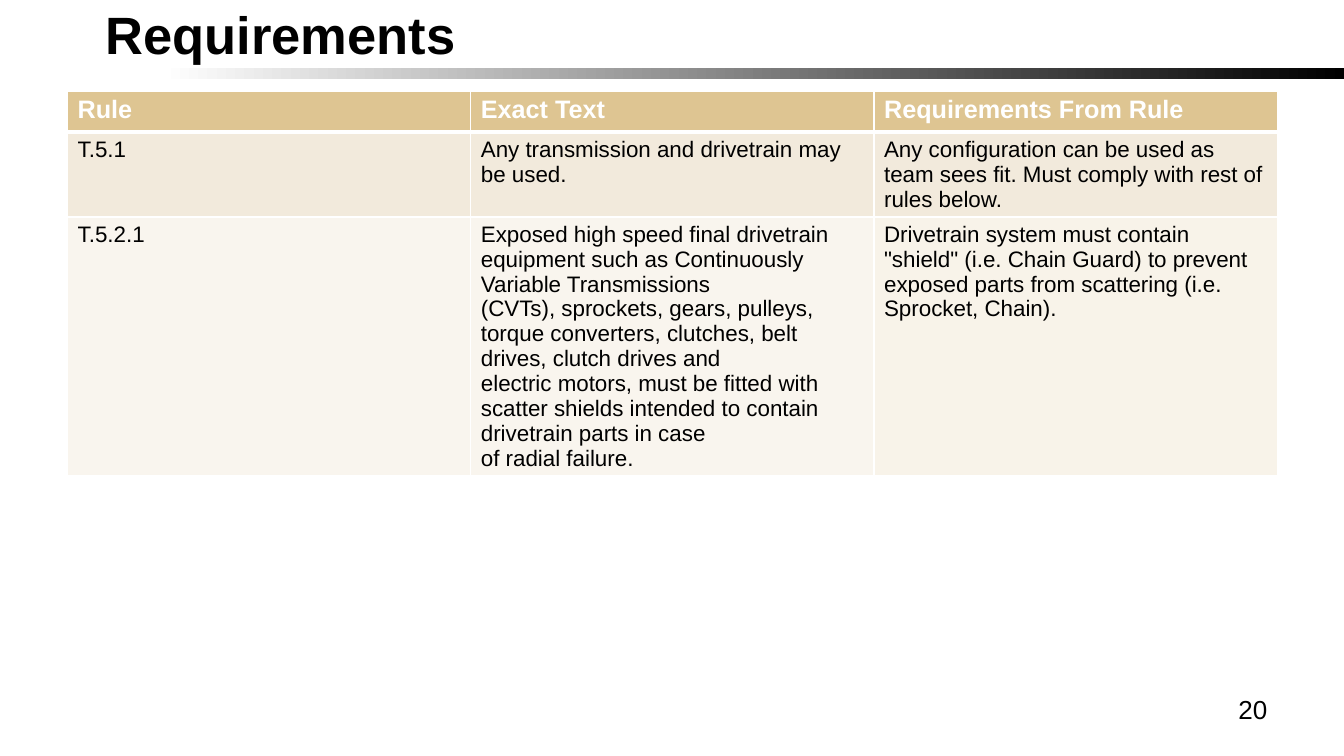
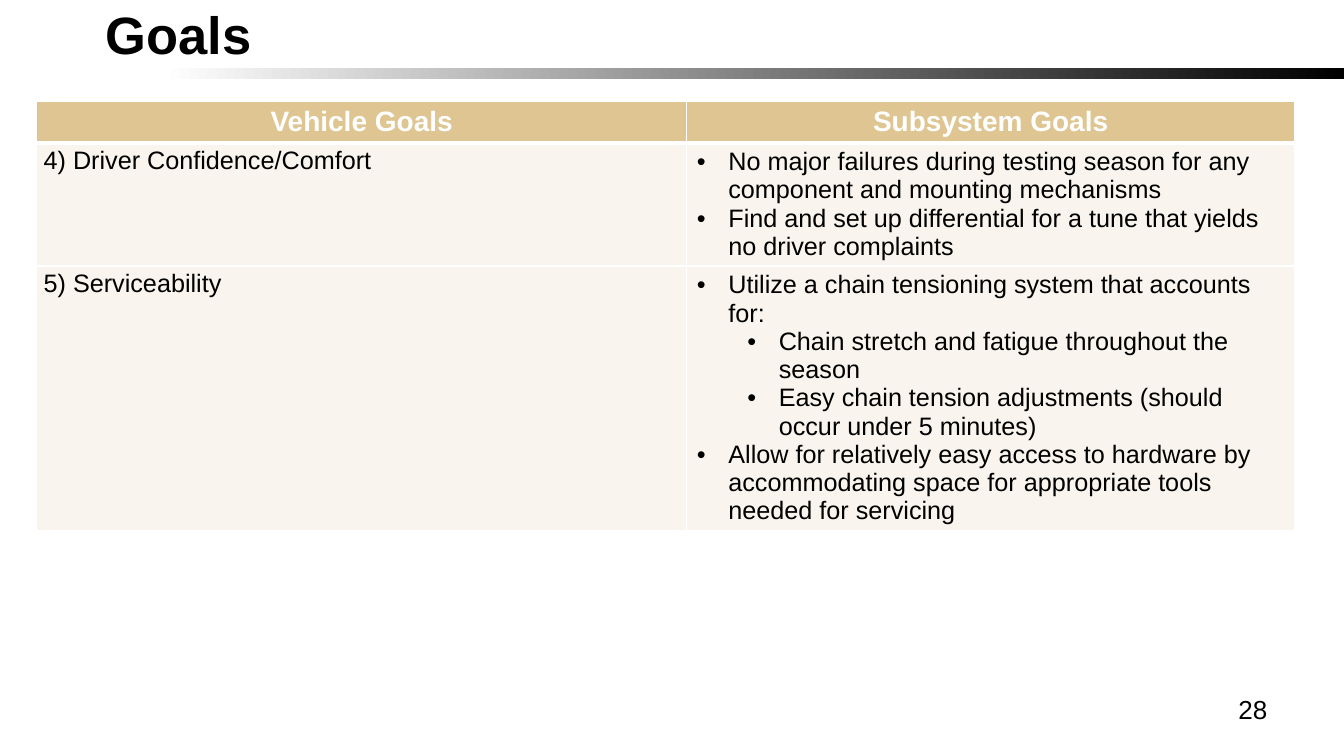
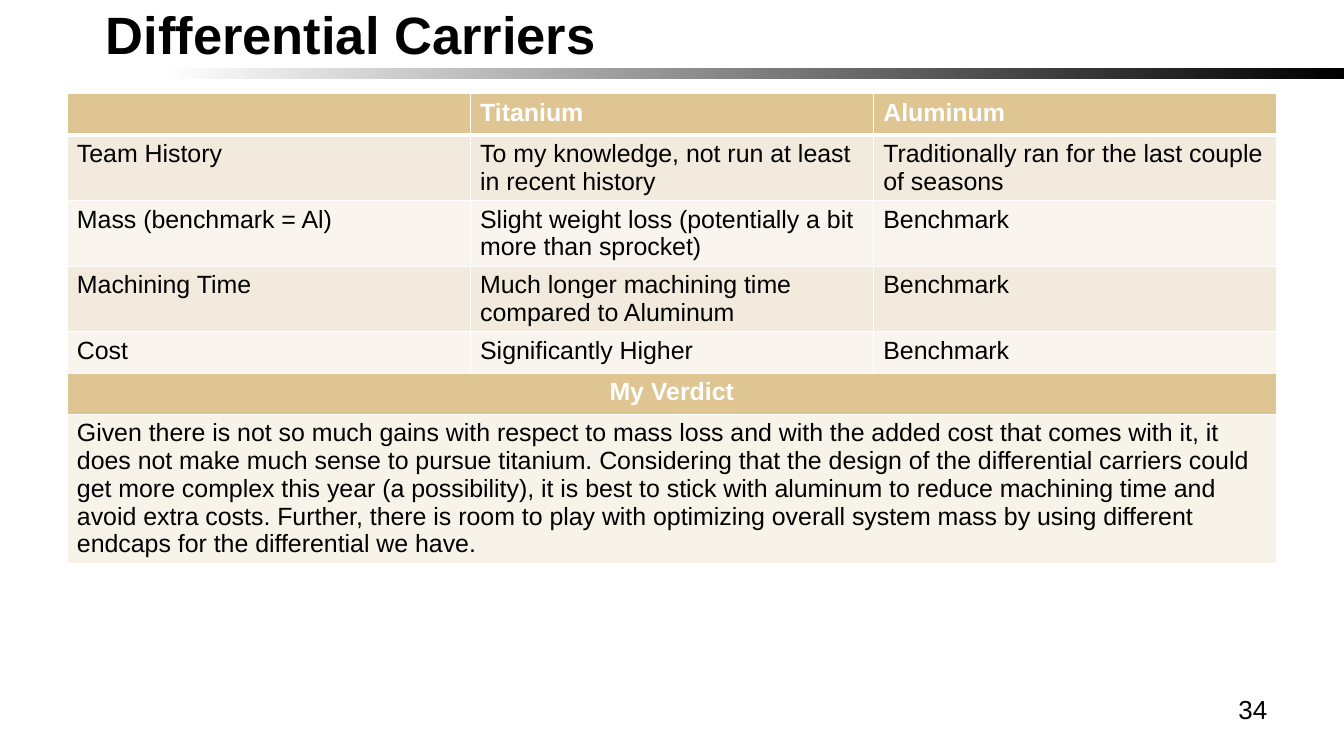
from dataclasses import dataclass

import lxml.etree
import pptx
import pptx.dml.color
import pptx.enum.shapes
import pptx.enum.text
import pptx.oxml.ns
import pptx.presentation
import pptx.slide
import pptx.table
import pptx.text.text
import pptx.util

Pt = pptx.util.Pt
Align = pptx.enum.text.PP_ALIGN
qn = pptx.oxml.ns.qn


@dataclass(frozen=True)
class Theme:
    font: str = "Arial"
    black: str = "000000"
    white: str = "FFFFFF"
    gold: str = "DEC592"
    sand: str = "F2EADC"
    cream: str = "F9F5EE"
    ivory: str = "F8F3E9"
    title_size: float = 37.5
    number_size: float = 18.6
    thin: float = 1
    thick: float = 3


THEME = Theme()


@dataclass(frozen=True)
class Line:
    text: str
    level: int | None = None


@dataclass(frozen=True)
class Row:
    height: float
    fill: str
    cells: tuple[str | tuple[Line, ...], ...]
    heading: bool = False
    last_fill: str | None = None


@dataclass(frozen=True)
class Grid:
    left: float
    top: float
    columns: tuple[float, ...]
    rows: tuple[Row, ...]
    heading_size: float
    body_size: float
    centred: bool = False
    tight_first_column: bool = False


@dataclass(frozen=True)
class Page:
    title: str
    number: str
    grid: Grid


PAGES = (
    Page("Requirements", "20", Grid(
        48.3, 65, (288, 288, 288),
        (
            Row(29.5, THEME.gold, ("Rule", "Exact Text", "Requirements From Rule"), heading=True),
            Row(60, THEME.sand, (
                "T.5.1",
                "Any transmission and drivetrain may be used.",
                "Any configuration can be used as team sees fit. Must comply with rest of rules below.",
            )),
            Row(185, THEME.cream, (
                "T.5.2.1",
                (
                    Line("Exposed high speed final drivetrain equipment such as Continuously Variable Transmissions "),
                    Line("(CVTs), sprockets, gears, pulleys, torque converters, clutches, belt drives, clutch drives and "),
                    Line("electric motors, must be fitted with scatter shields intended to contain drivetrain parts in case "),
                    Line("of radial failure."),
                ),
                'Drivetrain system must contain "shield" (i.e. Chain Guard) to prevent exposed parts '
                "from scattering (i.e. Sprocket, Chain).",
            ), last_fill=THEME.ivory),
        ),
        heading_size=18, body_size=16,
    )),
    Page("Goals", "28", Grid(
        26.2, 72.5, (464.4, 434.2),
        (
            Row(28.8, THEME.gold, ("Vehicle Goals", "Subsystem Goals"), heading=True),
            Row(88, THEME.cream, (
                "4) Driver Confidence/Comfort",
                (
                    Line("No major failures during testing season for any component and mounting mechanisms", 0),
                    Line("Find and set up differential for a tune that yields no driver complaints", 0),
                ),
            )),
            Row(188, THEME.cream, (
                "5) Serviceability",
                (
                    Line("Utilize a chain tensioning system that accounts for:", 0),
                    Line("Chain stretch and fatigue throughout the season", 1),
                    Line("Easy chain tension adjustments (should occur under 5 minutes)", 1),
                    Line("Allow for relatively easy access to hardware by accommodating space "
                         "for appropriate tools needed for servicing", 0),
                ),
            )),
        ),
        heading_size=20, body_size=18, centred=True, tight_first_column=True,
    )),
    Page("Differential Carriers", "34", Grid(
        47.8, 67, (288, 288, 288),
        (
            Row(29.5, THEME.gold, ("", "Titanium", "Aluminum"), heading=True),
            Row(46.8, THEME.sand, (
                "Team History",
                "To my knowledge, not run at least in recent history",
                "Traditionally ran for the last couple of seasons",
            )),
            Row(46.8, THEME.cream, (
                "Mass (benchmark = Al)",
                "Slight weight loss (potentially a bit more than sprocket)",
                "Benchmark",
            )),
            Row(46.8, THEME.sand, (
                "Machining Time",
                "Much longer machining time compared to Aluminum",
                "Benchmark",
            )),
            Row(29.5, THEME.cream, ("Cost", "Significantly Higher", "Benchmark")),
            Row(29.5, THEME.gold, ("My Verdict",), heading=True),
            Row(106, THEME.ivory, (
                "Given there is not so much gains with respect to mass loss and with the added cost "
                "that comes with it, it does not make much sense to pursue titanium. Considering that "
                "the design of the differential carriers could get more complex this year (a possibility), "
                "it is best to stick with aluminum to reduce machining time and avoid extra costs. "
                "Further, there is room to play with optimizing overall system mass by using different "
                "endcaps for the differential we have.",
            )),
        ),
        heading_size=17.8, body_size=17.8,
    )),
)


def rgb(color: str) -> pptx.dml.color.RGBColor:
    return pptx.dml.color.RGBColor.from_string(color)


def write(paragraph: pptx.text.text._Paragraph, text: str, *, size: float,
          color: str = THEME.black, bold: bool = False, align: Align = Align.LEFT) -> None:
    paragraph.alignment = align
    run = paragraph.add_run()
    run.text = text
    run.font.name = THEME.font
    run.font.size = Pt(size)
    run.font.bold = bold
    run.font.color.rgb = rgb(color)


def add_bullet(paragraph: pptx.text.text._Paragraph, level: int) -> None:
    paragraph.level = level
    properties = paragraph._p.get_or_add_pPr()
    properties.set("marL", str(Pt(22.5 + 36 * level)))
    properties.set("indent", str(Pt(-22.5)))
    lxml.etree.SubElement(properties, qn("a:buFont"), typeface=THEME.font)
    lxml.etree.SubElement(properties, qn("a:buChar"), char="•")


def add_borders(cell: pptx.table._Cell, top: float, bottom: float) -> None:
    properties = cell._tc.get_or_add_tcPr()
    widths = {"a:lnL": THEME.thin, "a:lnR": THEME.thin, "a:lnT": top, "a:lnB": bottom}
    for position, (side, width) in enumerate(widths.items()):
        border = lxml.etree.Element(qn(side), w=str(Pt(width)))
        paint = lxml.etree.SubElement(border, qn("a:solidFill"))
        lxml.etree.SubElement(paint, qn("a:srgbClr"), val=THEME.white)
        properties.insert(position, border)


def fill_cell(cell: pptx.table._Cell, content: str | tuple[Line, ...], row: Row, grid: Grid,
              centred: bool) -> None:
    lines = (Line(content),) if isinstance(content, str) else content
    for index, line in enumerate(lines):
        frame = cell.text_frame
        paragraph = frame.add_paragraph() if index else frame.paragraphs[0]
        if line.level is not None:
            add_bullet(paragraph, line.level)
        if line.text:
            write(paragraph, line.text,
                  size=grid.heading_size if row.heading else grid.body_size,
                  color=THEME.white if row.heading else THEME.black,
                  bold=row.heading,
                  align=Align.CENTER if centred else Align.LEFT)


def draw_grid(slide: pptx.slide.Slide, grid: Grid) -> None:
    table = slide.shapes.add_table(
        len(grid.rows), len(grid.columns), Pt(grid.left), Pt(grid.top),
        Pt(sum(grid.columns)), Pt(sum(row.height for row in grid.rows))).table
    table.horz_banding = False
    for column, width in zip(table.columns, grid.columns):
        column.width = Pt(width)
    last_column = len(grid.columns) - 1
    for r, row in enumerate(grid.rows):
        table.rows[r].height = Pt(row.height)
        spanning = len(row.cells) == 1
        if spanning:
            table.cell(r, 0).merge(table.cell(r, last_column))
        for c in range(len(grid.columns)):
            cell = table.cell(r, c)
            cell.fill.solid()
            cell.fill.fore_color.rgb = rgb(row.last_fill if row.last_fill and c == last_column else row.fill)
            add_borders(cell, top=THEME.thick if r == 1 else THEME.thin,
                        bottom=THEME.thick if r == 0 else THEME.thin)
            if c >= len(row.cells):
                continue
            if row.heading and grid.centred:
                cell.vertical_anchor = pptx.enum.text.MSO_ANCHOR.MIDDLE
            if grid.tight_first_column and c == 0 and not row.heading:
                cell.margin_left = cell.margin_right = Pt(5)
                cell.margin_top = cell.margin_bottom = Pt(2.9)
            fill_cell(cell, row.cells[c], row, grid, centred=row.heading and (grid.centred or spanning))


def style_title(layout: pptx.slide.SlideLayout) -> None:
    title = layout.placeholders[0]
    title.left, title.top, title.width, title.height = Pt(48), Pt(15.8), Pt(624), Pt(31)
    frame = title.text_frame
    frame.auto_size = pptx.enum.text.MSO_AUTO_SIZE.NONE
    frame.vertical_anchor = pptx.enum.text.MSO_ANCHOR.BOTTOM
    frame.margin_left, frame.margin_top = Pt(27.4), Pt(3.6)
    frame.margin_right, frame.margin_bottom = Pt(7.2), Pt(0)


def move_band_to_master(slide: pptx.slide.Slide, master: pptx.slide.SlideMaster) -> None:
    band = slide.shapes.add_shape(
        pptx.enum.shapes.MSO_SHAPE.RECTANGLE, Pt(0), Pt(48.5), Pt(960), Pt(7.9))
    band.shadow.inherit = False
    band.line.fill.background()
    band.fill.gradient()
    band.fill.gradient_angle = 180
    stops = ((0, THEME.black), (0.88, THEME.white))
    for stop, (position, color) in zip(band.fill.gradient_stops, stops):
        stop.position = position
        stop.color.rgb = rgb(color)
    master.shapes.element.insert(2, band.element)


def draw_page(deck: pptx.presentation.Presentation, layout: pptx.slide.SlideLayout,
              page: Page) -> pptx.slide.Slide:
    slide = deck.slides.add_slide(layout)
    write(slide.shapes.title.text_frame.paragraphs[0], page.title, size=THEME.title_size, bold=True)
    draw_grid(slide, page.grid)
    number = slide.shapes.add_textbox(Pt(688.3), Pt(491.8), Pt(224), Pt(37.4)).text_frame
    number.word_wrap = True
    write(number.paragraphs[0], page.number, size=THEME.number_size, align=Align.RIGHT)
    return slide


def main() -> None:
    deck = pptx.Presentation()
    deck.slide_width, deck.slide_height = Pt(960), Pt(540)
    layout = deck.slide_layouts[5]
    style_title(layout)
    slides = [draw_page(deck, layout, page) for page in PAGES]
    move_band_to_master(slides[0], deck.slide_master)
    deck.save("out.pptx")


if __name__ == "__main__":
    main()
